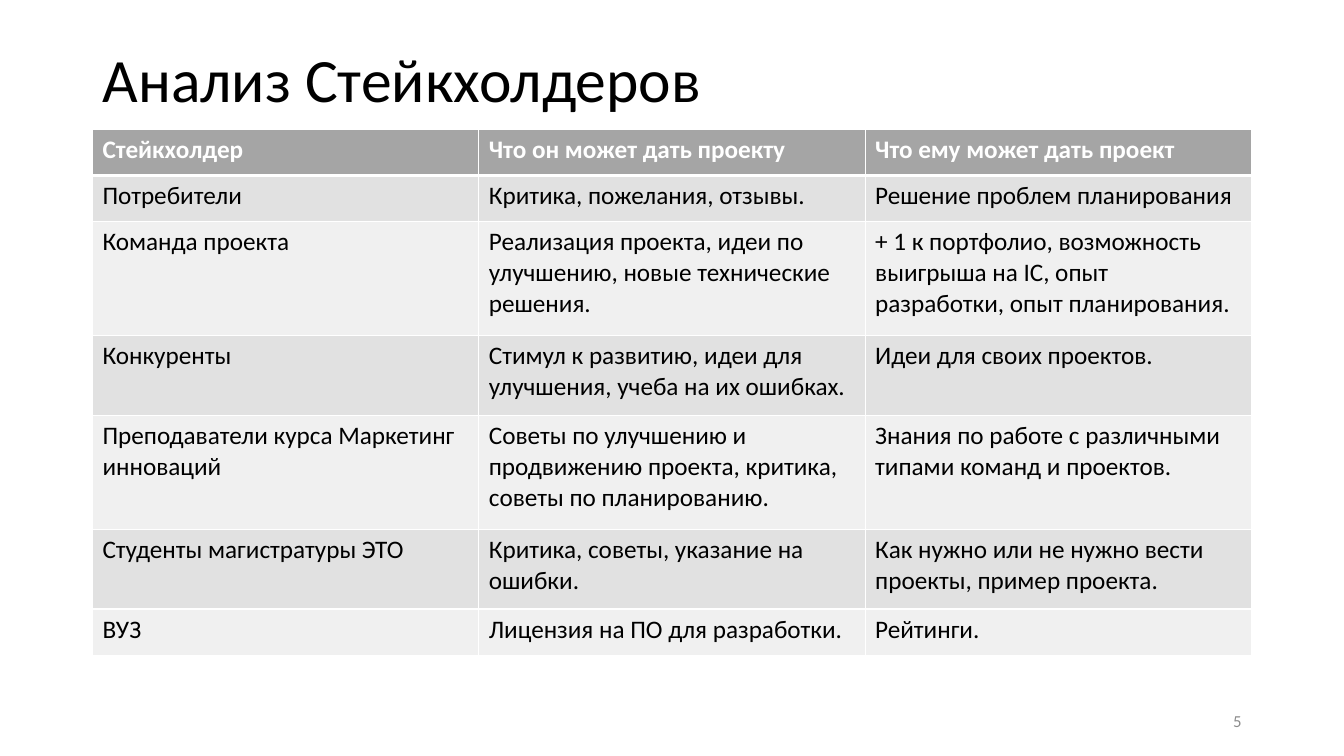
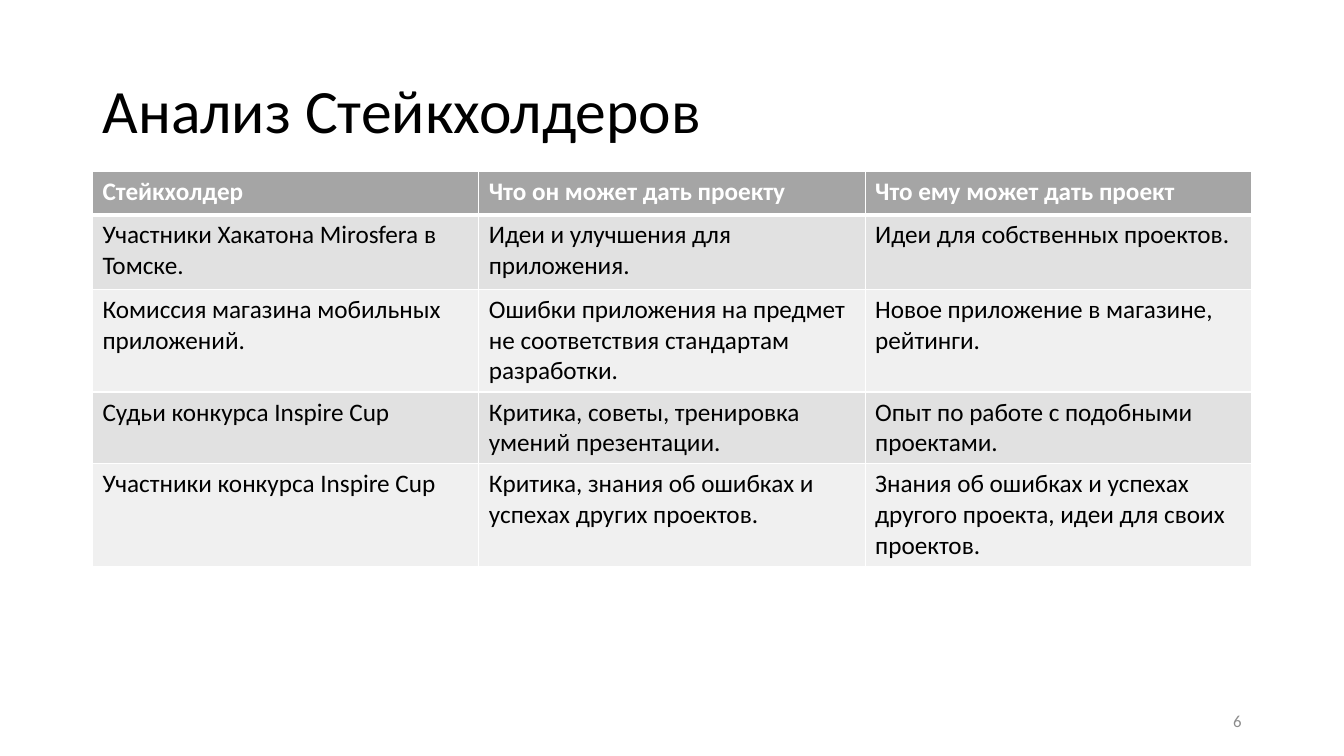
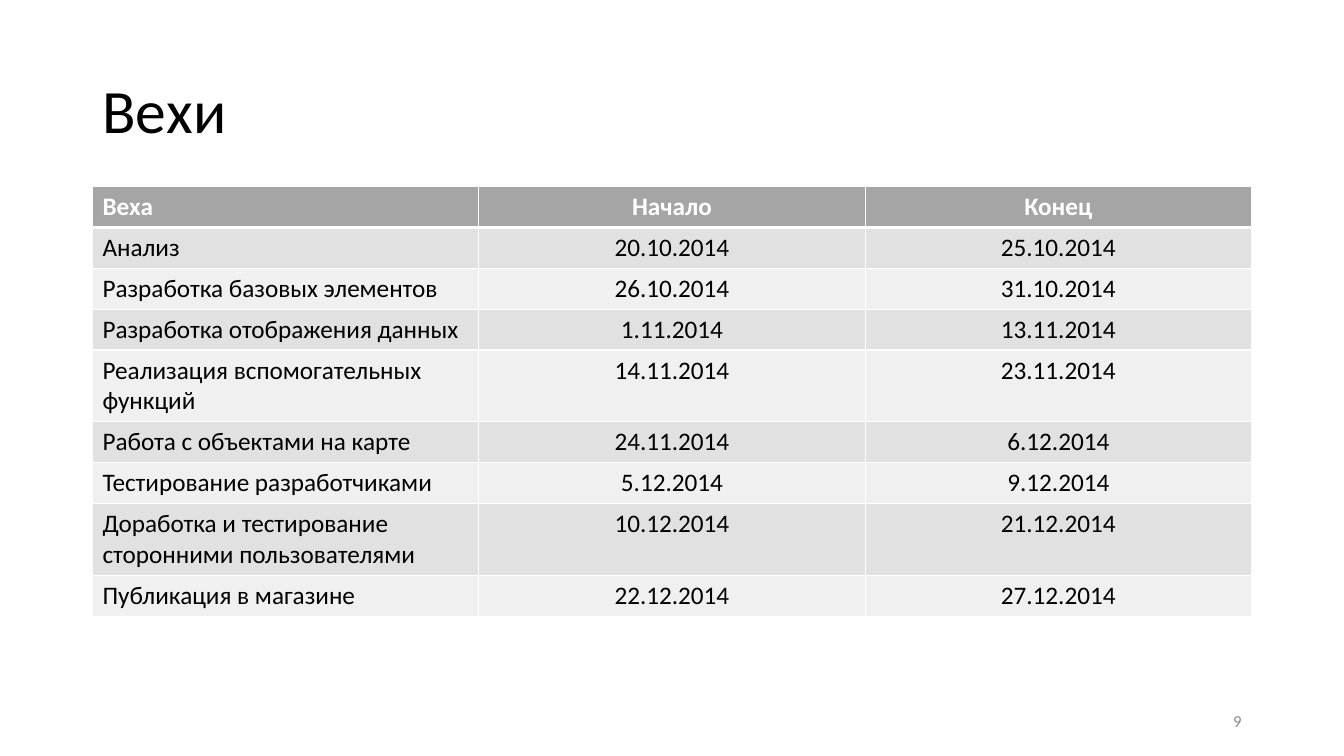
from lxml import etree
from pptx import Presentation
from pptx.dml.color import RGBColor
from pptx.enum.text import MSO_ANCHOR, MSO_AUTO_SIZE, PP_ALIGN
from pptx.oxml.ns import qn
from pptx.util import Cm, Pt

LEFT, CENTER, RIGHT = PP_ALIGN.LEFT, PP_ALIGN.CENTER, PP_ALIGN.RIGHT
MIDDLE = MSO_ANCHOR.MIDDLE
NO_AUTOFIT = MSO_AUTO_SIZE.NONE

# Content: row heights and positions are in centimetres
STAKEHOLDER_HEADER = ("Стейкхолдер", "Что он может дать проекту", "Что ему может дать проект")

SLIDES = [
    {
        "title": "Анализ Стейкхолдеров",
        "title_top": 0.64, "title_height": 2.87,
        "number": "5",
        "table_top": 3.25,
        "row_heights": [1.17, 1.17, 2.87, 2.01, 2.87, 2.01, 1.17],
        "aligns": (LEFT, LEFT, LEFT),
        "rows": [
            STAKEHOLDER_HEADER,
            ("Потребители", "Критика, пожелания, отзывы.", "Решение проблем планирования"),
            ("Команда проекта",
             "Реализация проекта, идеи по улучшению, новые технические решения.",
             "+ 1 к портфолио, возможность выигрыша на IC, опыт разработки, опыт планирования."),
            ("Конкуренты",
             "Стимул к развитию, идеи для улучшения, учеба на их ошибках.",
             "Идеи для своих проектов."),
            ("Преподаватели курса Маркетинг инноваций",
             "Советы по улучшению и продвижению проекта, критика, советы по планированию.",
             "Знания по работе с различными типами команд и проектов."),
            ("Студенты магистратуры ЭТО",
             "Критика, советы, указание на ошибки.",
             "Как нужно или не нужно вести проекты, пример проекта."),
            ("ВУЗ", "Лицензия на ПО для разработки.", "Рейтинги."),
        ],
    },
    {
        "title": "Анализ Стейкхолдеров",
        "title_top": 1.02, "title_height": 3.68,
        "number": "6",
        "table_top": 4.32,
        "row_heights": [1.09, 1.88, 2.59, 1.8, 2.59],
        "aligns": (LEFT, LEFT, LEFT),
        "rows": [
            STAKEHOLDER_HEADER,
            ("Участники Хакатона Mirosfera в Томске.",
             "Идеи и улучшения для приложения.",
             "Идеи для собственных проектов."),
            ("Комиссия магазина мобильных приложений.",
             "Ошибки приложения на предмет не соответствия стандартам разработки.",
             "Новое приложение в магазине, рейтинги."),
            ("Судьи конкурса Inspire Cup",
             "Критика, советы, тренировка умений презентации.",
             "Опыт по работе с подобными проектами."),
            ("Участники конкурса Inspire Cup",
             "Критика, знания об ошибках и успехах других проектов.",
             "Знания об ошибках и успехах другого проекта, идеи для своих проектов."),
        ],
    },
    {
        "title": "Вехи",
        "title_top": 1.02, "title_height": 3.68,
        "number": "9",
        "table_top": 4.7,
        "row_heights": [1.03, 1.03, 1.03, 1.03, 1.81, 1.03, 1.03, 1.81, 1.03],
        "aligns": (LEFT, CENTER, CENTER),
        "rows": [
            ("Веха", "Начало", "Конец"),
            ("Анализ", "20.10.2014", "25.10.2014"),
            ("Разработка базовых элементов", "26.10.2014", "31.10.2014"),
            ("Разработка отображения данных", "1.11.2014", "13.11.2014"),
            ("Реализация вспомогательных функций", "14.11.2014", "23.11.2014"),
            ("Работа с объектами на карте", "24.11.2014", "6.12.2014"),
            ("Тестирование разработчиками", "5.12.2014", "9.12.2014"),
            ("Доработка и тестирование сторонними пользователями", "10.12.2014", "21.12.2014"),
            ("Публикация в магазине", "22.12.2014", "27.12.2014"),
        ],
    },
]

# Shared style
COLORS = {
    "text": "000000", "header": "A5A5A5", "header_text": "FFFFFF",
    "odd_row": "E1E1E1", "even_row": "F0F0F0", "border": "FFFFFF", "number": "8C8C8C",
}
FONT = "Calibri"
TITLE_ONLY = 5
MARGIN = 2.33
CONTENT_WIDTH = 29.21
NUMBER_WIDTH = 7.62
THIN, THICK = 1, 3


def write(frame, text, size, color, align=LEFT, bold=False):
    frame.text = text
    paragraph = frame.paragraphs[0]
    paragraph.alignment = align
    font = paragraph.font
    font.name, font.size, font.bold = FONT, Pt(size), bold
    font.color.rgb = RGBColor.from_string(COLORS[color])
    return paragraph


def set_borders(cell, top, bottom):
    properties = cell._tc.get_or_add_tcPr()
    for tag, width in (("a:lnL", THIN), ("a:lnR", THIN), ("a:lnT", top), ("a:lnB", bottom)):
        line = etree.SubElement(properties, qn(tag), w=str(Pt(width)))
        fill = etree.SubElement(line, qn("a:solidFill"))
        etree.SubElement(fill, qn("a:srgbClr"), val=COLORS["border"])


def add_title(slide, content):
    title = slide.shapes.title
    title.left, title.top = Cm(MARGIN), Cm(content["title_top"])
    title.width, title.height = Cm(CONTENT_WIDTH), Cm(content["title_height"])
    frame = title.text_frame
    frame.auto_size, frame.vertical_anchor = NO_AUTOFIT, MIDDLE
    write(frame, content["title"], 44, "text").line_spacing = 0.9


def add_grid(slide, content):
    rows, heights, aligns = content["rows"], content["row_heights"], content["aligns"]
    table = slide.shapes.add_table(
        len(rows), len(aligns), Cm(MARGIN), Cm(content["table_top"]),
        Cm(CONTENT_WIDTH), Cm(sum(heights))).table
    for r, (texts, height) in enumerate(zip(rows, heights)):
        table.rows[r].height = Cm(height)
        is_header = r == 0
        fill = "header" if is_header else "odd_row" if r % 2 else "even_row"
        for c, (text, align) in enumerate(zip(texts, aligns)):
            cell = table.cell(r, c)
            set_borders(cell, THICK if r == 1 else THIN, THICK if is_header else THIN)
            cell.fill.solid()
            cell.fill.fore_color.rgb = RGBColor.from_string(COLORS[fill])
            write(cell.text_frame, text, 18, "header_text" if is_header else "text",
                  align, is_header)


def add_number(slide, number):
    left = MARGIN + CONTENT_WIDTH - NUMBER_WIDTH
    box = slide.shapes.add_textbox(Cm(left), Cm(17.65), Cm(NUMBER_WIDTH), Cm(1.02))
    box.text_frame.word_wrap = True
    box.text_frame.vertical_anchor = MIDDLE
    write(box.text_frame, number, 12, "number", RIGHT)


def main():
    deck = Presentation()
    deck.slide_width, deck.slide_height = Cm(33.87), Cm(19.05)
    for content in SLIDES:
        slide = deck.slides.add_slide(deck.slide_layouts[TITLE_ONLY])
        add_title(slide, content)
        add_grid(slide, content)
        add_number(slide, content["number"])
    deck.save("out.pptx")


if __name__ == "__main__":
    main()
